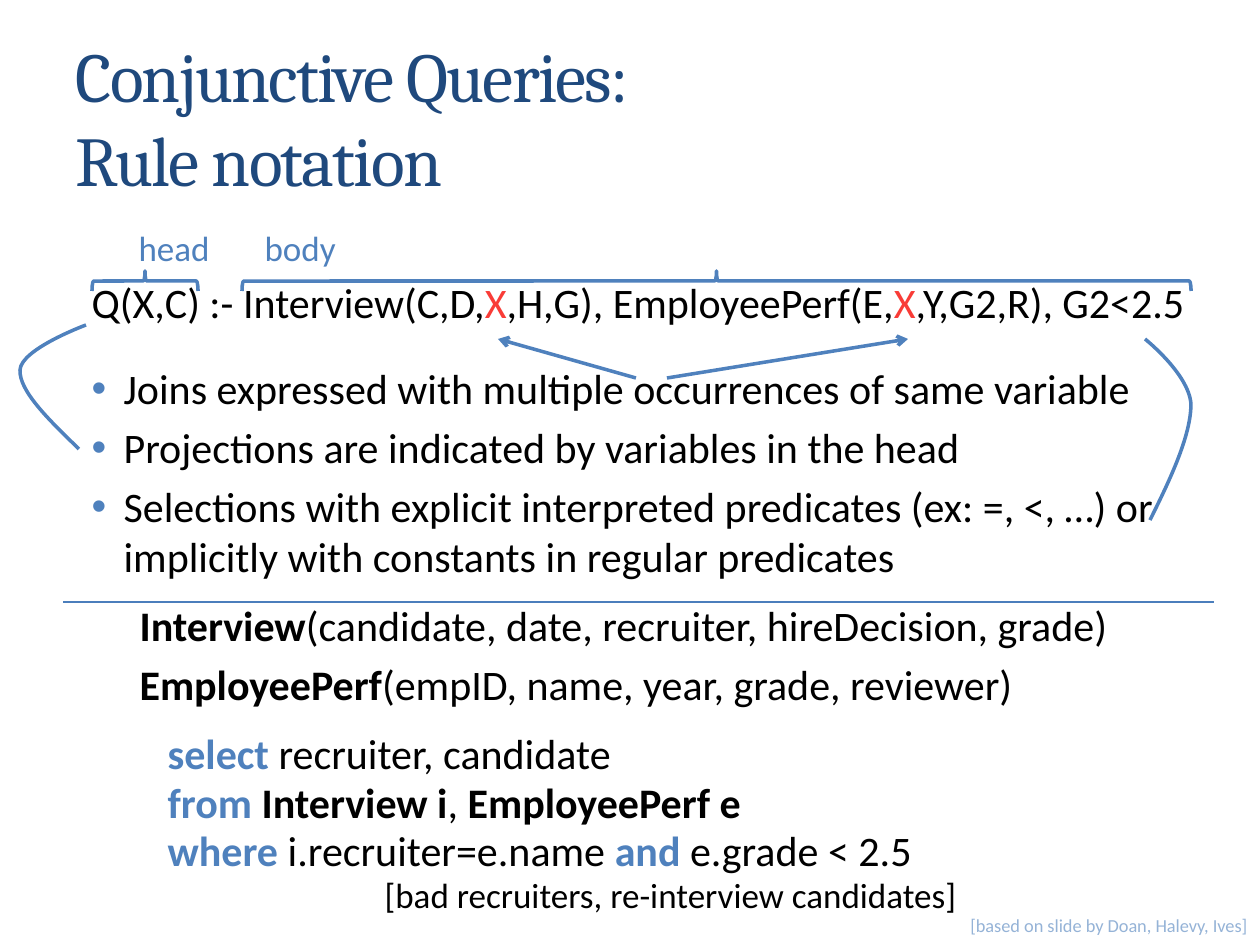
from pptx import Presentation, util as u
from pptx.dml import color
from pptx.enum import shapes, text
from pptx.oxml import ns
from lxml import etree

PX = u.Inches(1) / 126
BLUE, BLACK, RED = "4F81BD", "000000", "F93C37"
PLAIN = {"color": BLACK}
BOLD = {"color": BLACK, "bold": True}
ACCENT = {"color": BLUE}
KEYWORD = {"color": BLUE, "bold": True}
JOIN = {"color": RED}


def px(length):
    return u.Emu(round(length * PX))


def rgb(value):
    return color.RGBColor.from_string(value)


def sub(parent, tag, **attrs):
    return etree.SubElement(parent, ns.qn(tag), {k: str(v) for k, v in attrs.items()})


def assign(target, values):
    for name, value in values.items():
        setattr(target, name, value)


def place(shape, box):
    assign(shape, dict(zip(("left", "top", "width", "height"), map(px, box))))


def style_run(run, color, size=24, bold=False, face="Calibri"):
    assign(run.font, {"size": u.Pt(size), "bold": bold, "name": face})
    run.font.fill.solid()
    run.font.fill.fore_color.rgb = rgb(color)


def style_line(shape, width=2, color=BLUE):
    shape.line.color.rgb = rgb(color)
    shape.line.width = u.Pt(width)


def add_title(slide, box, wording):
    title = slide.shapes.title
    place(title, box)
    assign(title.text_frame, {"text": wording, "auto_size": text.MSO_AUTO_SIZE.NONE,
                              "vertical_anchor": text.MSO_ANCHOR.MIDDLE})
    heading = title.text_frame.paragraphs[0]
    heading.alignment = text.PP_ALIGN.LEFT
    for run in heading.runs:
        style_run(run, "1F497D", 40, face="Cambria")
        props = run.font._element
        props.set("spc", "-100")
        effects = etree.Element(ns.qn("a:effectLst"))
        shadow = sub(effects, "a:outerShdw", blurRad=50800, dist=38100, dir=2700000)
        sub(sub(shadow, "a:srgbClr", val=BLACK), "a:alpha", val=40000)
        props.find(ns.qn("a:solidFill")).addnext(effects)


def fill_paragraph(para, runs, before=4.8, indent=16, spacing=1.0, bullet=False, tabs=()):
    assign(para, {"space_before": u.Pt(before), "line_spacing": spacing,
                  "alignment": text.PP_ALIGN.LEFT})
    props = para._p.get_or_add_pPr()
    props.set("marL", str(px(48 if bullet else indent)))
    props.set("indent", str(px(-32 if bullet else 0)))
    if bullet:
        sub(sub(props, "a:buClr"), "a:srgbClr", val=BLUE)
        sub(props, "a:buFont", typeface="Arial")
        sub(props, "a:buChar", char="•")
    else:
        sub(props, "a:buNone")
    if tabs:
        stops = sub(props, "a:tabLst")
        for stop in tabs:
            sub(stops, "a:tab", pos=px(stop), algn="l")
    for wording, style in runs:
        run = para.add_run()
        run.text = wording
        style_run(run, **style)


def add_body(slide, box, paragraphs):
    body = slide.placeholders[1]
    place(body, box)
    frame = body.text_frame
    frame.auto_size = text.MSO_AUTO_SIZE.NONE
    for index, (runs, layout) in enumerate(paragraphs):
        para = frame.add_paragraph() if index else frame.paragraphs[0]
        fill_paragraph(para, runs, **layout)


def add_credit(slide, box, wording):
    frame = slide.shapes.add_textbox(*map(px, box)).text_frame
    frame.word_wrap = False
    para = frame.paragraphs[0]
    para.alignment = text.PP_ALIGN.RIGHT
    run = para.add_run()
    run.text = wording
    style_run(run, "95B3D7", 10.5)


def add_brace(slide, left, right, middle, depth=20):
    span = right - left
    center = (left + right) / 2
    box = (center - depth / 2, middle - span / 2, depth, span)
    brace = slide.shapes.add_shape(shapes.MSO_SHAPE.LEFT_BRACE, *map(px, box))
    brace.rotation = 90
    brace.shadow.inherit = False
    brace.fill.background()
    style_line(brace)


def add_line(slide, ends, width=2, color=BLUE, arrow=False):
    line = slide.shapes.add_connector(shapes.MSO_CONNECTOR.STRAIGHT, *map(px, ends))
    style_line(line, width, color)
    sub(line._element.spPr, "a:effectLst")
    if arrow:
        sub(line.line._get_or_add_ln(), "a:tailEnd", type="arrow")


def add_curve(slide, start, controls):
    builder = slide.shapes.build_freeform(*start, scale=PX)
    builder.add_line_segments(controls, close=False)
    curve = builder.convert_to_shape()
    curve.shadow.inherit = False
    curve.fill.background()
    style_line(curve)
    segments = curve._element.findall(".//" + ns.qn("a:lnTo"))
    outline = segments[0].getparent()
    for first in range(0, len(segments), 3):
        bezier = sub(outline, "a:cubicBezTo")
        for segment in segments[first:first + 3]:
            bezier.append(segment[0])
            outline.remove(segment)


def build_query_slide(slide):
    add_title(slide, (63, 38, 1135, 157), "Conjunctive Queries:\vRule notation")
    sql = {"indent": 92, "spacing": 0.8}
    schema = {"indent": 64}
    bullet = {"bullet": True}
    add_body(slide, (63, 220, 1162, 662), [
        ([("\thead\tbody", {**ACCENT, "size": 20})], {"indent": 0, "tabs": (31, 608)}),
        ([("Q(X,C) :- Interview(C,D,", PLAIN), ("X", JOIN), (",H,G), EmployeePerf(E,", PLAIN),
          ("X", JOIN), (",Y,G2,R), G2<2.5", PLAIN)], {}),
        ([("Joins expressed with multiple occurrences of same variable", PLAIN)],
         {**bullet, "before": 20.5}),
        ([("Projections are indicated by variables in the head", PLAIN)], bullet),
        ([("Selections with explicit interpreted predicates (ex: =, <, …) or implicitly "
           "with constants in regular predicates", PLAIN)], bullet),
        ([("Interview", BOLD), ("(candidate, date, recruiter, hireDecision, grade)", PLAIN)],
         {**schema, "before": 10.5}),
        ([("EmployeePerf", BOLD), ("(empID, name, year, grade, reviewer)", PLAIN)], schema),
        ([("select ", KEYWORD), ("recruiter, candidate", PLAIN)], {**sql, "before": 16.2}),
        ([("from ", KEYWORD), ("Interview i", BOLD), (", ", PLAIN), ("EmployeePerf e", BOLD)], sql),
        ([("where ", KEYWORD), ("i.recruiter=e.name ", PLAIN), ("and ", KEYWORD),
          ("e.grade < 2.5", PLAIN)], sql),
        ([("[bad recruiters, re-interview candidates]", {**PLAIN, "size": 20})],
         {**sql, "indent": 309, "before": 4}),
    ])
    add_credit(slide, (951, 908, 309, 35), "[based on slide by Doan, Halevy, Ives]")
    for left, right in ((92, 198), (242, 1191)):
        add_brace(slide, left, right, 281)
    for ends in ((636, 378, 498, 339), (667, 378, 908, 339)):
        add_line(slide, ends, arrow=True)
    add_curve(slide, (79, 449),
              [(49, 420), (19, 391), (20, 370), (21, 349), (86, 325), (86, 325)])
    add_curve(slide, (1150, 520),
              [(1171, 478), (1191, 435), (1191, 404), (1189, 374), (1145, 339), (1145, 339)])
    add_line(slide, (63, 602, 1214, 602), 1, "4B7EBC")


deck = Presentation()
assign(deck, {"slide_width": px(1260), "slide_height": px(945)})
build_query_slide(deck.slides.add_slide(deck.slide_layouts[1]))
deck.save("out.pptx")
